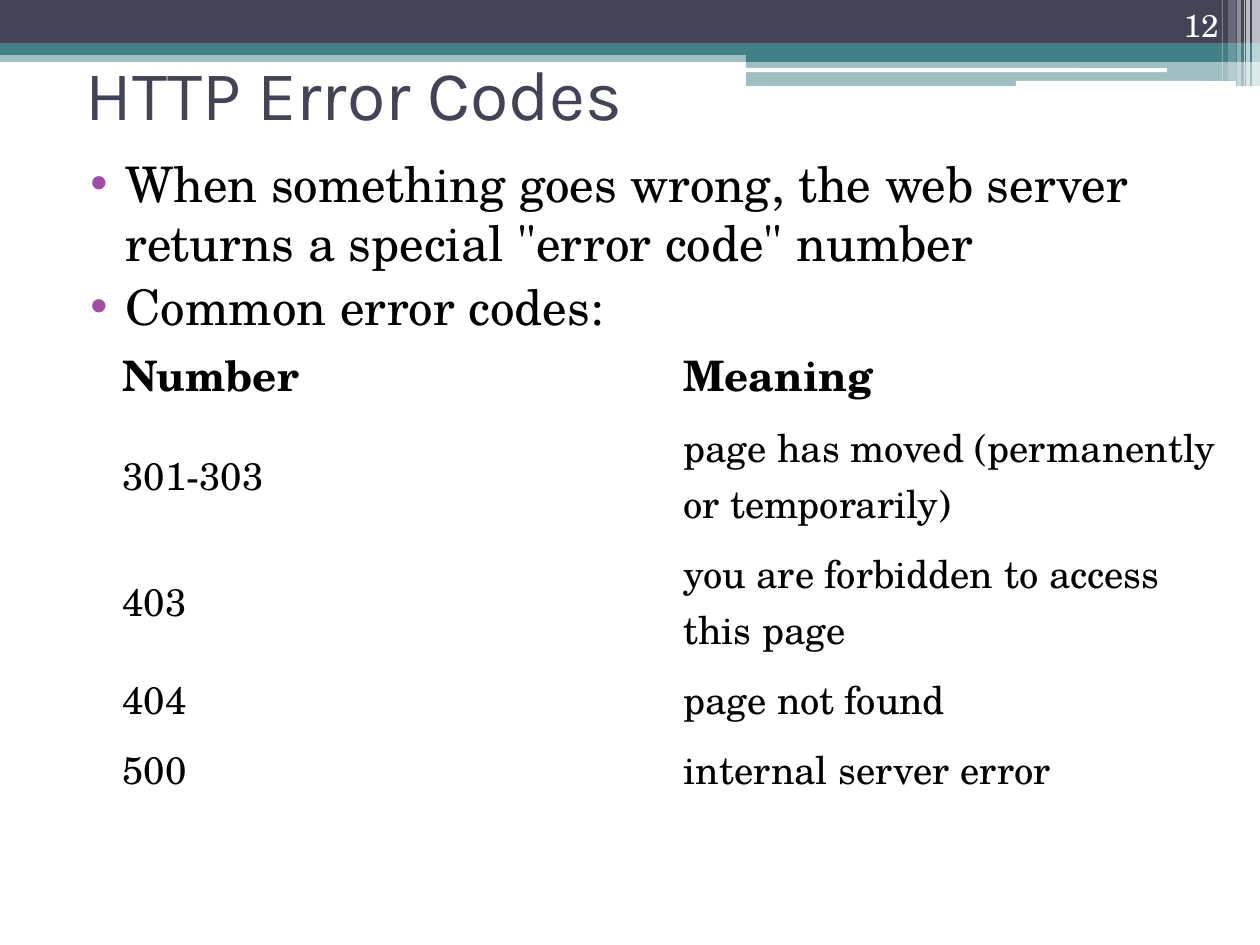
from lxml.etree import SubElement
from pptx import Presentation
from pptx.dml.color import RGBColor
from pptx.enum.shapes import MSO_SHAPE as SHAPE
from pptx.enum.text import MSO_ANCHOR as ANCHOR, PP_ALIGN as ALIGN
from pptx.oxml.ns import qn
from pptx.util import Pt

PX = 914400 / 126  # EMU per pixel
WIDTH, HEIGHT = 1260, 945

NAVY = RGBColor(0x42, 0x44, 0x56)
TEAL = RGBColor(0x43, 0x80, 0x86)
PURPLE = RGBColor(0xA0, 0x4D, 0xA3)
BLACK = RGBColor(0, 0, 0)
WHITE = RGBColor(255, 255, 255)
HEAD_FONT = "Karla"
BODY_FONT = "TeX Gyre Schola"
NO_GRID_STYLE = "{2D5ABB26-0587-4C30-8999-92F81FD0307C}"

# left, top, width, height, colour, opacity in percent
BANDS = [
    (0, 50, 1260, 12, TEAL, 50),
    (0, 0, 1260, 43, NAVY, 100),
    (0, 43, 1260, 12, TEAL, 100),
    (746, 49, 514, 13, TEAL, 100),
    (746, 61, 514, 25, TEAL, 50),
]
GROOVES = [(745, 68, 422, 4), (1016, 81, 220, 5)]
# left, width, height, opacity in percent
STRIPES = [
    (1252, 8, 86, 65),
    (1246, 4, 86, 65),
    (1244, 1, 86, 60),
    (1237, 4, 86, 40),
    (1228, 8, 81, 20),
    (1222, 1, 81, 30),
]
BULLETS = [
    'When something goes wrong, the web server returns a special "error code" number',
    "Common error codes:",
]
ERROR_CODES = [
    ("Number", "Meaning"),
    ("301-303", "page has moved (permanently or temporarily)"),
    ("403", "you are forbidden to access this page"),
    ("404", "page not found"),
    ("500", "internal server error"),
]
ROW_HEIGHTS = [76, 126, 126, 70, 70]


def emu(px):
    return round(px * PX)


def write(p, text, size=28, font=BODY_FONT, color=BLACK, bold=False,
          align=ALIGN.LEFT, before=0):
    p.alignment = align
    p.space_before = Pt(before)
    r = p.add_run()
    r.text = text
    r.font.size = Pt(size)
    r.font.name = font
    r.font.bold = bold
    r.font.color.rgb = color


def add_bullet(p, color, left, hang):
    pPr = p._p.get_or_add_pPr()
    pPr.set("marL", str(emu(left)))
    pPr.set("indent", str(-emu(hang)))
    clr = SubElement(pPr, qn("a:buClr"))
    SubElement(clr, qn("a:srgbClr"), val=str(color))
    SubElement(pPr, qn("a:buFont"), typeface="Arial")
    SubElement(pPr, qn("a:buChar"), char="•")


class Deck:
    """Holds the presentation and the slide being drawn."""

    def __init__(self):
        self.prs = Presentation()
        self.prs.slide_width = emu(WIDTH)
        self.prs.slide_height = emu(HEIGHT)
        self.s = self.prs.slides.add_slide(self.prs.slide_layouts[6])

    def bar(self, x, y, w, h, color, opacity=100, kind=SHAPE.RECTANGLE):
        sp = self.s.shapes.add_shape(kind, *map(emu, (x, y, w, h)))
        sp.shadow.inherit = False
        sp.line.fill.background()
        sp.fill.solid()
        sp.fill.fore_color.rgb = color
        if opacity < 100:
            clr = sp.fill._xPr.find(".//" + qn("a:srgbClr"))
            SubElement(clr, qn("a:alpha"), val=str(opacity * 1000))

    def text_box(self, x, y, w, h, anchor=ANCHOR.TOP):
        tf = self.s.shapes.add_textbox(*map(emu, (x, y, w, h))).text_frame
        tf.word_wrap = True
        tf.vertical_anchor = anchor
        return tf

    def label(self, text, x, y, w, h, anchor, **fmt):
        write(self.text_box(x, y, w, h, anchor).paragraphs[0], text, **fmt)

    def bullets(self, items, x, y, w, h):
        tf = self.text_box(x, y, w, h)
        for i, item in enumerate(items):
            p = tf.add_paragraph() if i else tf.paragraphs[0]
            write(p, item, before=3)
            add_bullet(p, PURPLE, left=50, hang=35)

    def table(self, rows, heights, x, y, w):
        box = map(emu, (x, y, w, sum(heights)))
        table = self.s.shapes.add_table(len(rows), len(rows[0]), *box).table
        table.first_row = table.horz_banding = False
        table._tbl.tblPr.find(qn("a:tableStyleId")).text = NO_GRID_STYLE
        for i, (row, height) in enumerate(zip(rows, heights)):
            table.rows[i].height = emu(height)
            for j, text in enumerate(row):
                cell = table.cell(i, j)
                cell.fill.background()
                cell.vertical_anchor = ANCHOR.MIDDLE
                write(cell.text_frame.paragraphs[0], text,
                      size=22 if i else 24, bold=i == 0)


def main():
    deck = Deck()
    for band in BANDS:
        deck.bar(*band)
    for groove in GROOVES:
        deck.bar(*groove, WHITE, kind=SHAPE.ROUNDED_RECTANGLE)
    for x, w, h, opacity in STRIPES:
        deck.bar(x, 0, w, h, WHITE, opacity)
    deck.label("HTTP Error Codes", 73, 19, 1134, 147, ANCHOR.MIDDLE,
               size=40, font=HEAD_FONT, color=NAVY)
    deck.bullets(BULLETS, 63, 147, 1134, 596)
    deck.label("12", 1126, 0, 105, 50, ANCHOR.BOTTOM,
               size=18, color=WHITE, align=ALIGN.RIGHT)
    deck.table(ERROR_CODES, ROW_HEIGHTS, 110, 336, 1122)
    deck.prs.save("out.pptx")


if __name__ == "__main__":
    main()
